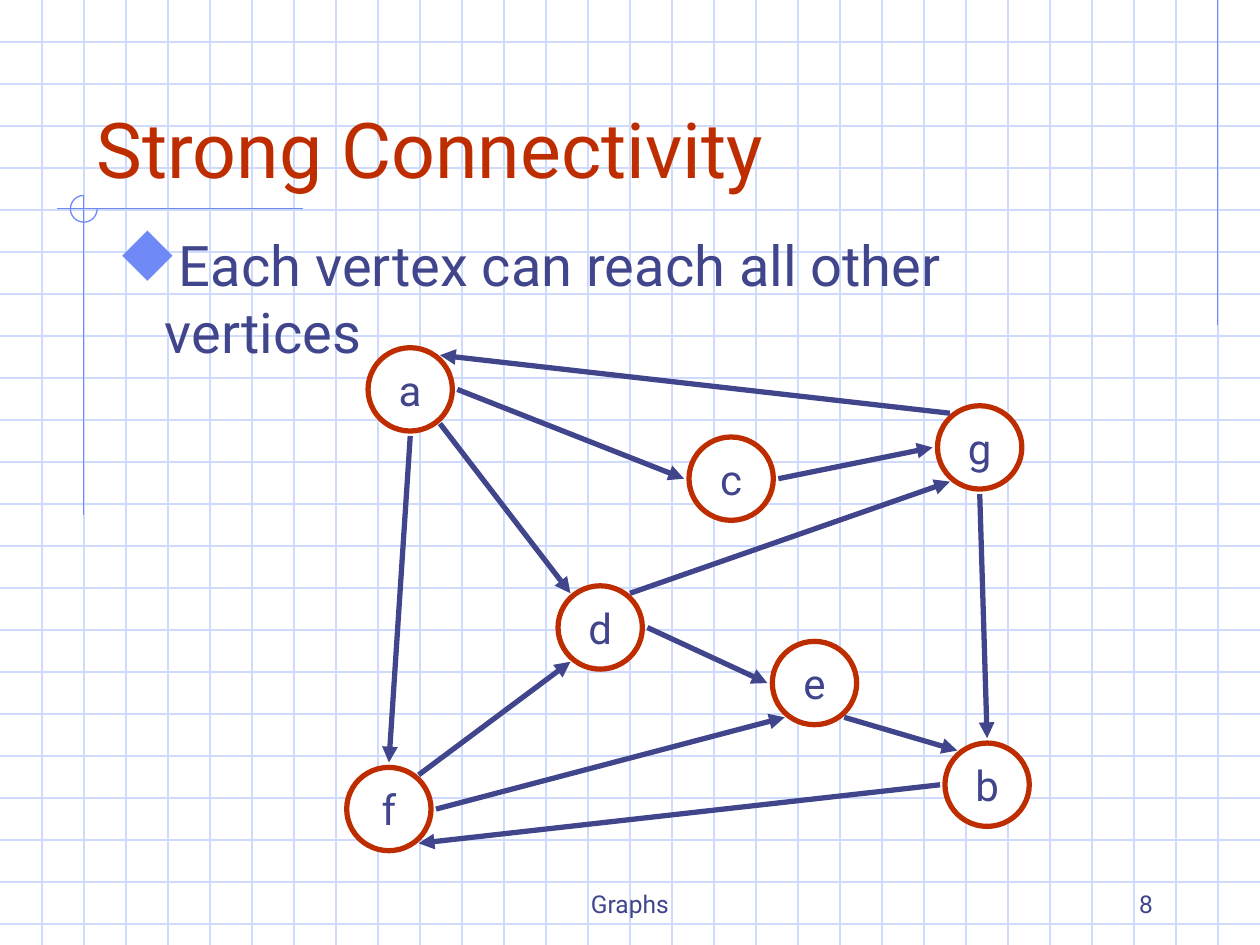
from lxml import etree
from pptx import Presentation
from pptx.dml.color import RGBColor
from pptx.enum.shapes import MSO_CONNECTOR, MSO_SHAPE
from pptx.enum.text import MSO_ANCHOR, MSO_AUTO_SIZE, PP_ALIGN
from pptx.oxml.ns import qn
from pptx.util import Cm, Pt

STRAIGHT = MSO_CONNECTOR.STRAIGHT
ELLIPSE, ARC = MSO_SHAPE.OVAL, MSO_SHAPE.ARC
LEFT, CENTER, RIGHT = PP_ALIGN.LEFT, PP_ALIGN.CENTER, PP_ALIGN.RIGHT
TOP, MIDDLE, BOTTOM = MSO_ANCHOR.TOP, MSO_ANCHOR.MIDDLE, MSO_ANCHOR.BOTTOM

FONT = "Roboto"
RED, INDIGO, BLUE, PALE, WHITE = "BE2D00", "40458C", "6F89F7", "CFDBFD", "FFFFFF"

WIDTH, HEIGHT = 25.4, 19.05
GRID_COLUMNS = 30
VERTEX_WIDTH, VERTEX_HEIGHT = 1.7, 1.68

# Vertex centres in cm
VERTICES = {
    "a": (8.27, 7.85),
    "d": (12.1, 12.65),
    "c": (14.74, 9.65),
    "b": (19.9, 15.82),
    "e": (16.42, 13.77),
    "f": (7.84, 16.31),
    "g": (19.75, 9.02),
}

# Offsets in cm from a vertex centre to the point where an edge meets it
SIDES = {
    "N": (0, -0.94), "S": (0, 0.94), "W": (-0.95, 0), "E": (0.95, 0),
    "NW": (-0.6, -0.69), "NE": (0.6, -0.69),
    "SW": (-0.6, 0.69), "SE": (0.6, 0.69),
}

EDGES = [
    ("a", "S", "f", "N"),
    ("a", "SE", "d", "NW"),
    ("a", "E", "c", "W"),
    ("g", "NW", "a", "NE"),
    ("c", "E", "g", "W"),
    ("g", "S", "b", "N"),
    ("d", "E", "e", "W"),
    ("e", "SE", "b", "NW"),
    ("f", "NE", "d", "SW"),
    ("f", "E", "e", "SW"),
    ("b", "W", "f", "SE"),
    ("d", "NE", "g", "SW"),
]


def rgb(value):
    return RGBColor.from_string(value)


def add_line(slide, start, end, color, weight=0.75, arrow=False):
    line = slide.shapes.add_connector(
        STRAIGHT, *(Cm(value) for value in (*start, *end)))
    line.line.color.rgb = rgb(color)
    line.line.width = Pt(weight)
    if arrow:
        etree.SubElement(line.line._ln, qn("a:tailEnd"), type="triangle")
    etree.SubElement(line._element.spPr, qn("a:effectLst"))


def write(shape, text, size, color, align=LEFT, anchor=TOP, wrap=True,
          bullet=False):
    """Put one formatted paragraph in a shape."""
    frame = shape.text_frame
    frame.text = text
    frame.auto_size = MSO_AUTO_SIZE.NONE
    frame.word_wrap = wrap
    frame.vertical_anchor = anchor
    paragraph = frame.paragraphs[0]
    paragraph.alignment = align
    if bullet:
        add_bullet(paragraph)
    paragraph.font.name = FONT
    paragraph.font.size = Pt(size)
    paragraph.font.color.rgb = rgb(color)


def add_text(slide, box, text, size, **layout):
    textbox = slide.shapes.add_textbox(*(Cm(value) for value in box))
    write(textbox, text, size, INDIGO, **layout)


def add_bullet(paragraph):
    """Hang a diamond, which is the letter u in Wingdings."""
    properties = paragraph._p.get_or_add_pPr()
    properties.set("marL", str(Cm(0.95)))
    properties.set("indent", str(-Cm(0.95)))
    color = etree.SubElement(properties, qn("a:buClr"))
    etree.SubElement(color, qn("a:srgbClr"), val=BLUE)
    etree.SubElement(properties, qn("a:buSzPct"), val="110000")
    etree.SubElement(properties, qn("a:buFont"), typeface="Wingdings",
                     pitchFamily="2", charset="2")
    etree.SubElement(properties, qn("a:buChar"), char="u")


def add_grid(slide):
    step = WIDTH / GRID_COLUMNS
    for row in range(1, int(HEIGHT / step) + 1):
        add_line(slide, (0, row * step), (WIDTH, row * step), PALE)
    for column in range(1, GRID_COLUMNS):
        add_line(slide, (column * step, 0), (column * step, HEIGHT), PALE)


def add_margin_marks(slide):
    """Draw the ruled margin lines and the open circle where they cross."""
    add_line(slide, (24.55, 0), (24.55, 6.55), BLUE)
    add_line(slide, (6.1, 4.21), (1.14, 4.21), BLUE)
    add_line(slide, (1.69, 3.93), (1.69, 10.39), BLUE)
    circle = slide.shapes.add_shape(ARC, Cm(1.42), Cm(3.94), Cm(0.54), Cm(0.54))
    circle.adjustments[0] = 0
    circle.adjustments[1] = 162  # 270 degrees
    circle.shadow.inherit = False
    circle.fill.background()
    circle.line.color.rgb = rgb(BLUE)
    circle.line.width = Pt(0.75)


def place_title(slide, text):
    title = slide.shapes.title
    slide.shapes._spTree.append(title._element)  # in front of the grid
    title.left, title.top = Cm(1.69), Cm(0.85)
    title.width, title.height = Cm(21.59), Cm(3.18)
    write(title, text, 44, RED, anchor=BOTTOM)


def add_vertex(slide, name, center):
    x, y = center
    vertex = slide.shapes.add_shape(
        ELLIPSE, Cm(x - VERTEX_WIDTH / 2), Cm(y - VERTEX_HEIGHT / 2),
        Cm(VERTEX_WIDTH), Cm(VERTEX_HEIGHT))
    vertex.shadow.inherit = False
    vertex.fill.solid()
    vertex.fill.fore_color.rgb = rgb(WHITE)
    vertex.line.color.rgb = rgb(RED)
    vertex.line.width = Pt(3)
    write(vertex, name, 24, INDIGO, align=CENTER, anchor=MIDDLE, wrap=False)


def edge_point(name, side):
    return [c + offset for c, offset in zip(VERTICES[name], SIDES[side])]


def add_graph(slide):
    for name, center in VERTICES.items():
        add_vertex(slide, name, center)
    for source, source_side, target, target_side in EDGES:
        add_line(slide, edge_point(source, source_side),
                 edge_point(target, target_side), INDIGO, weight=3, arrow=True)


def main():
    deck = Presentation()
    deck.slide_width, deck.slide_height = Cm(WIDTH), Cm(HEIGHT)
    slide = deck.slides.add_slide(deck.slide_layouts[5])
    slide.background.fill.solid()
    slide.background.fill.fore_color.rgb = rgb(WHITE)

    add_grid(slide)
    add_margin_marks(slide)
    place_title(slide, "Strong Connectivity")
    add_text(slide, (2.12, 4.52, 21.17, 3.3),
             "Each vertex can reach all other vertices", 32, bullet=True)
    add_graph(slide)
    add_text(slide, (8.68, 17.36, 8.04, 1.27), "Graphs", 14,
             align=CENTER, anchor=BOTTOM)
    add_text(slide, (18.2, 17.36, 5.29, 1.27), "8", 14,
             align=RIGHT, anchor=BOTTOM)
    deck.save("out.pptx")


if __name__ == "__main__":
    main()
